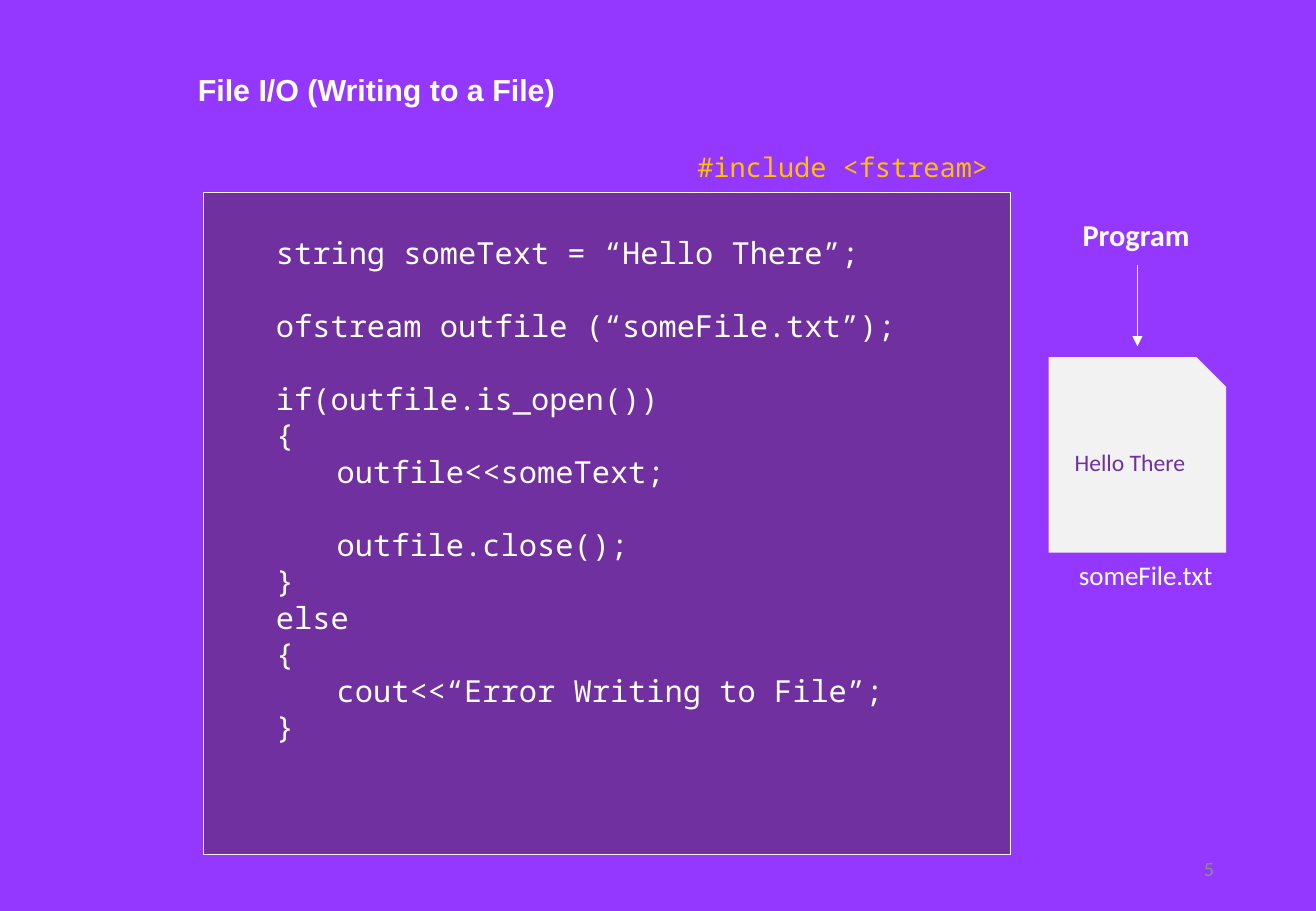
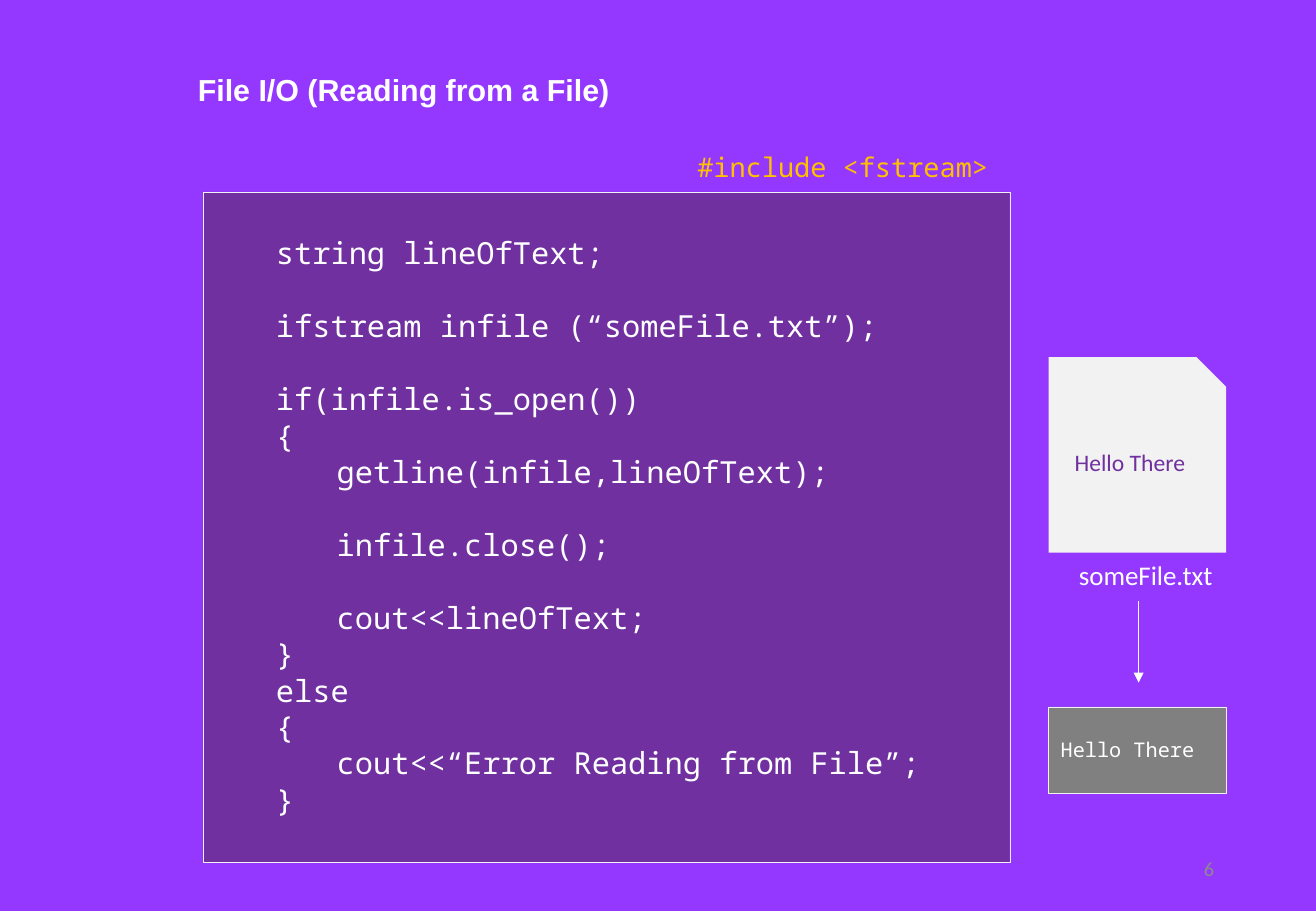
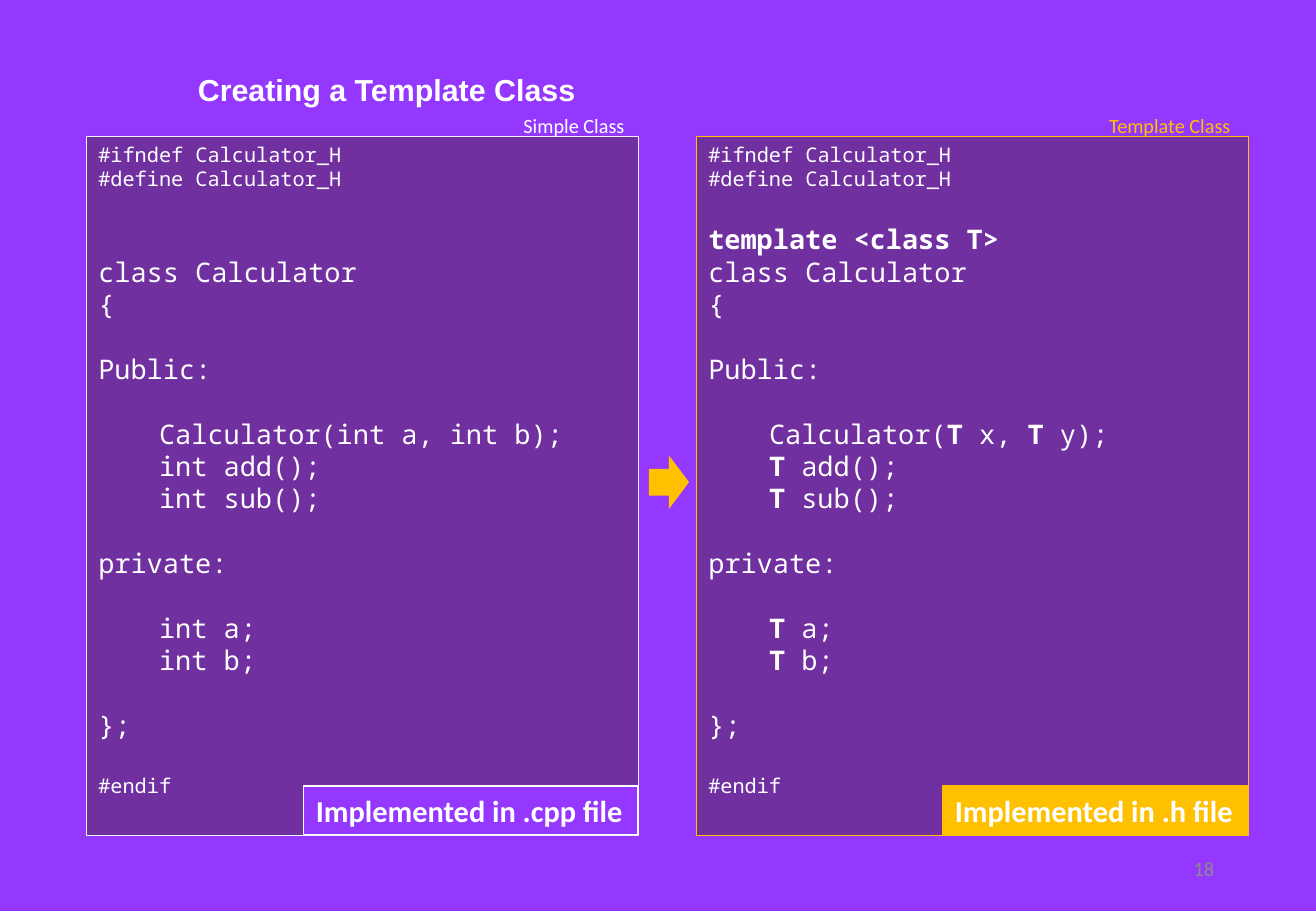
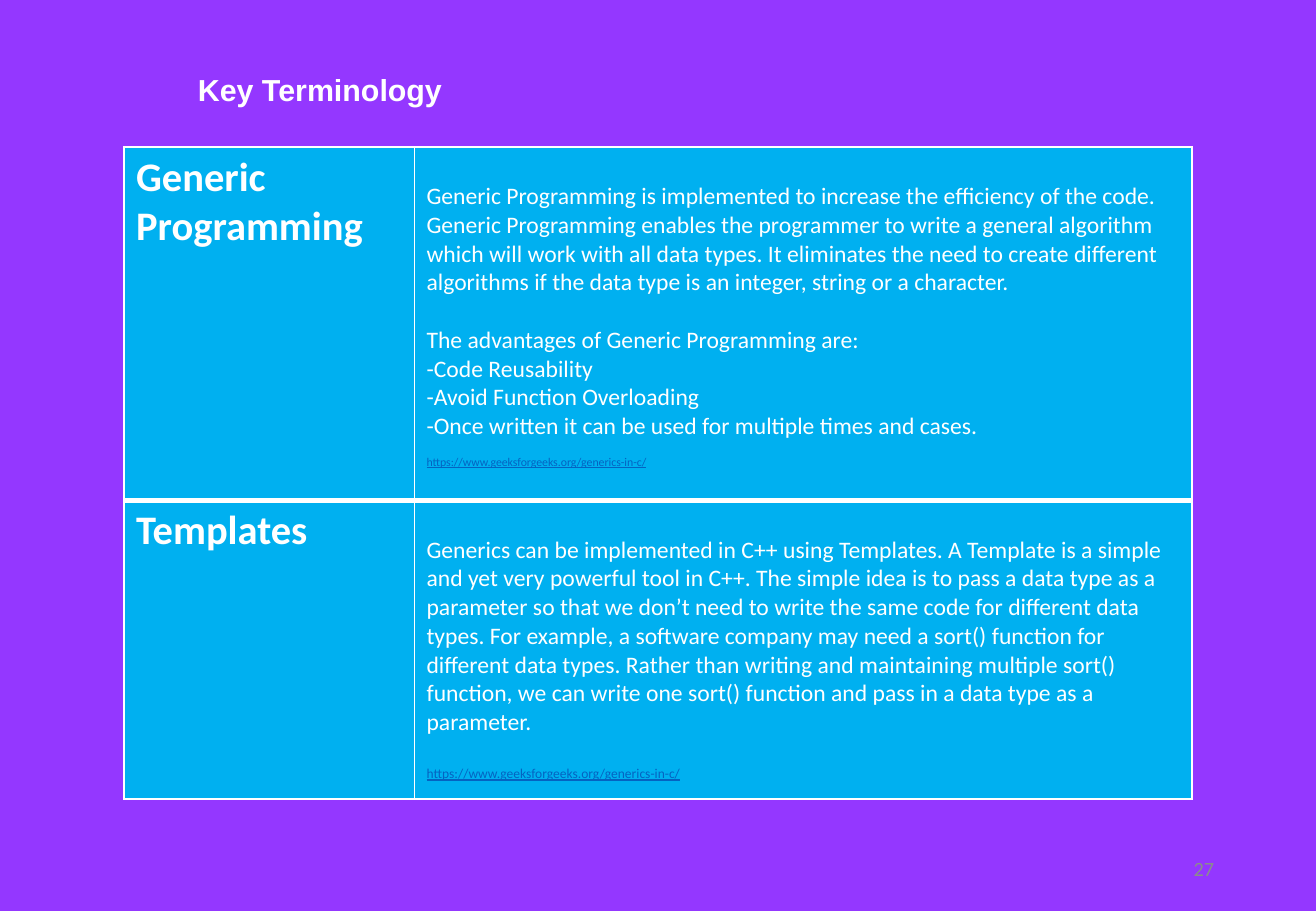
from dataclasses import dataclass

from lxml import etree
from pptx import Presentation
from pptx.dml.color import RGBColor
from pptx.enum.shapes import MSO_CONNECTOR, MSO_SHAPE
from pptx.enum.text import MSO_ANCHOR, PP_ALIGN
from pptx.oxml.ns import qn
from pptx.util import Inches, Pt

RECT, FILE, BLOCK_ARROW = MSO_SHAPE.RECTANGLE, MSO_SHAPE.SNIP_1_RECTANGLE, MSO_SHAPE.RIGHT_ARROW
STRAIGHT = MSO_CONNECTOR.STRAIGHT
TOP, MIDDLE = MSO_ANCHOR.TOP, MSO_ANCHOR.MIDDLE
LEFT, CENTER, RIGHT = PP_ALIGN.LEFT, PP_ALIGN.CENTER, PP_ALIGN.RIGHT


@dataclass(frozen=True)
class Theme:
    page: str = "9437FF"
    panel: str = "7030A0"
    paper: str = "F2F2F2"
    white: str = "FFFFFF"
    accent: str = "FFC000"
    console: str = "808080"
    number: str = "8C8C8C"
    cell: str = "00B0F0"
    link: str = "0563C1"
    head_font: str = "Arial"
    body_font: str = "Calibri"
    code_font: str = "Noto Sans Mono"
    term: int = 24
    title: int = 18
    code: int = 16
    body: int = 14
    small: int = 12
    leading: float = 1.2
    tab: float = 0.5


THEME = Theme()


class Deck:
    """Holds the style and the current slide; places are percent of the slide's size."""

    def __init__(self, theme, width, height):
        self.theme = theme
        self.prs = Presentation()
        self.prs.slide_width, self.prs.slide_height = Inches(width), Inches(height)
        self.slide = None
        fill = self.prs.slide_master.background.fill
        fill.solid()
        fill.fore_color.rgb = RGBColor.from_string(theme.page)

    def x(self, share):
        return round(self.prs.slide_width * share / 100)

    def y(self, share):
        return round(self.prs.slide_height * share / 100)

    def box(self, left, top, width, height):
        return self.x(left), self.y(top), self.x(width), self.y(height)

    # Slide with its title and number
    def new_slide(self, title, number):
        t = self.theme
        self.slide = self.prs.slides.add_slide(self.prs.slide_layouts[6])
        self.label(title, (14.13, 7.2, 50, 5.33), t.title, font=t.head_font, bold=True)
        self.label(number, (70.64, 92.67, 22.53, 5.33), t.small, color=t.number,
                   align=RIGHT, anchor=MIDDLE)

    # Text helpers
    def frame(self, frame, **settings):
        values = {"word_wrap": True, "vertical_anchor": TOP, **settings}
        for name, value in values.items():
            setattr(frame, name, value)

    def run(self, paragraph, text, size, color=None, font=None, **style):
        run = paragraph.add_run()
        run.text = text
        values = {"name": font or self.theme.body_font, "size": Pt(size), **style}
        for name, value in values.items():
            setattr(run.font, name, value)
        run.font.color.rgb = RGBColor.from_string(color or self.theme.white)

    def next_paragraph(self, frame, index, gap=0):
        paragraph = frame.add_paragraph() if index else frame.paragraphs[0]
        if index and gap:
            paragraph.space_before = Pt(gap)
        return paragraph

    def label(self, text, place, size, align=LEFT, anchor=TOP, wrap=True, **style):
        frame = self.slide.shapes.add_textbox(*self.box(*place)).text_frame
        self.frame(frame, word_wrap=wrap, vertical_anchor=anchor)
        self.line_of_text(frame, text, size, align, **style)

    def line_of_text(self, frame, text, size, align=LEFT, **style):
        paragraph = frame.paragraphs[0]
        paragraph.alignment = align
        if style.get("font") == self.theme.code_font:
            paragraph.line_spacing = Pt(size * self.theme.leading)
        self.run(paragraph, text, size, **style)

    # Shapes and arrows
    def shape(self, kind, place, fill, line=None, weight=0.25):
        shape = self.slide.shapes.add_shape(kind, *self.box(*place))
        shape.shadow.inherit = False
        shape.fill.solid()
        shape.fill.fore_color.rgb = RGBColor.from_string(fill)
        if line:
            shape.line.color.rgb = RGBColor.from_string(line)
            shape.line.width = Pt(weight)
        else:
            shape.line.fill.background()
        return shape

    def arrow_down(self, across, top, length):
        arrow = self.slide.shapes.add_connector(
            STRAIGHT, self.x(across), self.y(top), self.x(across), self.y(top + length))
        arrow.line.color.rgb = RGBColor.from_string(self.theme.white)
        arrow.line.width = Pt(0.5)
        etree.SubElement(arrow.line._get_or_add_ln(), qn("a:tailEnd"), type="triangle")
        etree.SubElement(arrow._element.spPr, qn("a:effectLst"))

    # Code panel: an empty line becomes space, a tab an indent, *...* is bold
    def code_panel(self, place, code, size, line, inset=(0.1, 0.05)):
        t = self.theme
        frame = self.shape(RECT, place, t.panel, line).text_frame
        self.frame(frame, margin_left=Inches(inset[0]), margin_top=Inches(inset[1]))
        gap = index = 0
        for text in code.strip("\n").split("\n"):
            if not text:
                gap += size * t.leading
                continue
            letters = t.small if text.startswith("#") else size
            paragraph = self.next_paragraph(frame, index, gap)
            paragraph.alignment = LEFT
            paragraph.line_spacing = Pt(letters * t.leading)
            if text.startswith("\t"):
                paragraph._p.get_or_add_pPr().set("marL", str(Inches(t.tab)))
            for part, words in enumerate(text.strip("\t").split("*")):
                if words:
                    self.run(paragraph, words, letters, font=t.code_font, bold=part % 2 == 1)
            gap, index = 0, index + 1

    # Parts of the file slides
    def file_slide(self, title, number, code, panel_height):
        t = self.theme
        self.new_slide(title, number)
        self.label("#include <fstream>", (52.08, 15.87, 24.28, 4.93), t.code,
                   wrap=False, color=t.accent, font=t.code_font)
        self.code_panel((15.42, 21.07, 61.31, panel_height), code, t.title, t.paper,
                        inset=(0.6, 0.35))
        page = self.shape(FILE, (79.69, 39.2, 13.48, 21.47), t.paper).text_frame
        self.frame(page, vertical_anchor=MIDDLE)
        self.line_of_text(page, "Hello There", t.body, CENTER, color=t.panel)
        self.label("someFile.txt", (81.07, 60.67, 12.19, 4.93), t.code, wrap=False)

    def console(self, text, place):
        t = self.theme
        frame = self.shape(RECT, place, t.console, t.paper).text_frame
        self.frame(frame, margin_top=Inches(0.25))
        self.line_of_text(frame, text, t.small, font=t.code_font)

    # Class panel with its label above and badge in the lower right corner
    def class_panel(self, left, code, line, label, badge):
        t = self.theme
        top, width, height = 14.93, 41.92, 76.8
        self.code_panel((left, top, width, height), code, t.code, line)
        name, name_left, name_width, name_color = label
        self.label(name, (name_left, 11.73, name_width, 4), t.small, wrap=False, color=name_color)
        text, badge_width, fill, edge = badge
        place = (left + width - badge_width, 86.27, badge_width, 5.33)
        frame = self.shape(RECT, place, fill, edge, 0.75).text_frame
        self.frame(frame, word_wrap=False)
        self.line_of_text(frame, text, t.title, bold=True)

    # Table of terms
    def borders(self, cell, bottom):
        props = cell._tc.get_or_add_tcPr()
        weights = {"a:lnL": 1, "a:lnR": 1, "a:lnT": 1, "a:lnB": bottom}
        for position, (tag, weight) in enumerate(weights.items()):
            line = etree.Element(qn(tag), w=str(Pt(weight)))
            solid = etree.SubElement(line, qn("a:solidFill"))
            etree.SubElement(solid, qn("a:srgbClr"), val=self.theme.white)
            props.insert(position, line)

    def term_table(self, left, top, columns, rows, terms):
        t = self.theme
        place = self.box(left, top, sum(columns), sum(rows))
        table = self.slide.shapes.add_table(len(rows), len(columns), *place).table
        for column, share in zip(table.columns, columns):
            column.width = self.x(share)
        for index, (share, (term, lines, link, link_size, link_gap)) in enumerate(zip(rows, terms)):
            table.rows[index].height = self.y(share)
            name, meaning = table.cell(index, 0), table.cell(index, 1)
            for cell in (name, meaning):
                cell.fill.solid()
                cell.fill.fore_color.rgb = RGBColor.from_string(t.cell)
                self.borders(cell, 1 if index else 3)
            self.line_of_text(name.text_frame, term, t.term, bold=True)
            meaning.margin_top = Inches(0.29)
            for number, (text, gap) in enumerate(lines):
                paragraph = self.next_paragraph(meaning.text_frame, number, gap)
                self.run(paragraph, text, t.body, bold=False)
            paragraph = self.next_paragraph(meaning.text_frame, len(lines), link_gap)
            self.run(paragraph, link, link_size, t.link, bold=False, underline=True)


WRITE_CODE = """
string someText = “Hello There”;

ofstream outfile (“someFile.txt”);

if(outfile.is_open())
{
\toutfile<<someText;

\toutfile.close();
}
else
{
\tcout<<“Error Writing to File”;
}
"""

READ_CODE = """
string lineOfText;

ifstream infile (“someFile.txt”);

if(infile.is_open())
{
\tgetline(infile,lineOfText);

\tinfile.close();

\tcout<<lineOfText;
}
else
{
\tcout<<“Error Reading from File”;
}
"""

# The two classes differ only in the template line, types and arguments
CLASS_CODE = """
#ifndef Calculator_H
#define Calculator_H

{template}
class Calculator
{{

Public:

\tCalculator({type} {first}, {type} {second});
\t{type} add();
\t{type} sub();

private:

\t{type} a;
\t{type} b;

}};

#endif
"""
SIMPLE_CLASS = CLASS_CODE.format(template="", type="int", first="a", second="b")
TEMPLATE_CLASS = CLASS_CODE.format(template="*template <class T>*", type="*T*",
                                   first="x", second="y")

LINE_GAP = 17.1
SOURCE_LINK = "https://www.geeksforgeeks.org/generics-in-c/"
TERMS = [
    ("Generic Programming", [
        ("Generic Programming is implemented to increase the efficiency of the code. "
         "Generic Programming enables the programmer to write a general algorithm which will "
         "work with all data types. It eliminates the need to create different algorithms if "
         "the data type is an integer, string or a character.", 0),
        ("The advantages of Generic Programming are:", LINE_GAP),
        ("-Code Reusability", 0),
        ("-Avoid Function Overloading", 0),
        ("-Once written it can be used for multiple times and cases.", 0),
    ], SOURCE_LINK, 7, LINE_GAP / 2),
    ("Templates", [
        ("Generics can be implemented in C++ using Templates. A Template is a simple and yet "
         "very powerful tool in C++. The simple idea is to pass a data type as a parameter so "
         "that we don’t need to write the same code for different data types. For example, a "
         "software company may need a sort() function for different data types. Rather than "
         "writing and maintaining multiple sort() function, we can write one sort() function "
         "and pass in a data type as a parameter.", 0),
    ], SOURCE_LINK, 8, LINE_GAP),
]


def main():
    t = THEME
    deck = Deck(t, 10.83, 7.5)

    # Writing to a file
    deck.file_slide("File I/O (Writing to a File)", "5", WRITE_CODE, 72.67)
    deck.label("Program", (81.35, 23.07, 10.06, 5.33), t.title, wrap=False, bold=True)
    deck.arrow_down(86.43, 29.07, 8.93)

    # Reading from a file
    deck.file_slide("File I/O (Reading from a File)", "6", READ_CODE, 73.6)
    deck.arrow_down(86.52, 66, 8.93)
    deck.console("Hello There", (79.69, 77.6, 13.48, 9.47))

    # Simple class and template class
    deck.new_slide("Creating a Template Class", "18")
    deck.class_panel(6.56, SIMPLE_CLASS, t.paper, ("Simple Class", 38.87, 9.6, t.white),
                     ("Implemented in .cpp file", 25.39, t.page, t.white))
    deck.class_panel(52.91, TEMPLATE_CLASS, t.accent, ("Template Class", 83.38, 11.17, t.accent),
                     ("Implemented in .h file", 23.18, t.accent, t.accent))
    deck.shape(BLOCK_ARROW, (49.31, 50, 3.05, 5.87), t.accent)

    # Key terms
    deck.new_slide("Key Terminology", "27")
    deck.term_table(9.42, 16.13, (22.07, 59.1), (38.8, 32.8), TERMS)

    deck.prs.save("out.pptx")


if __name__ == "__main__":
    main()
